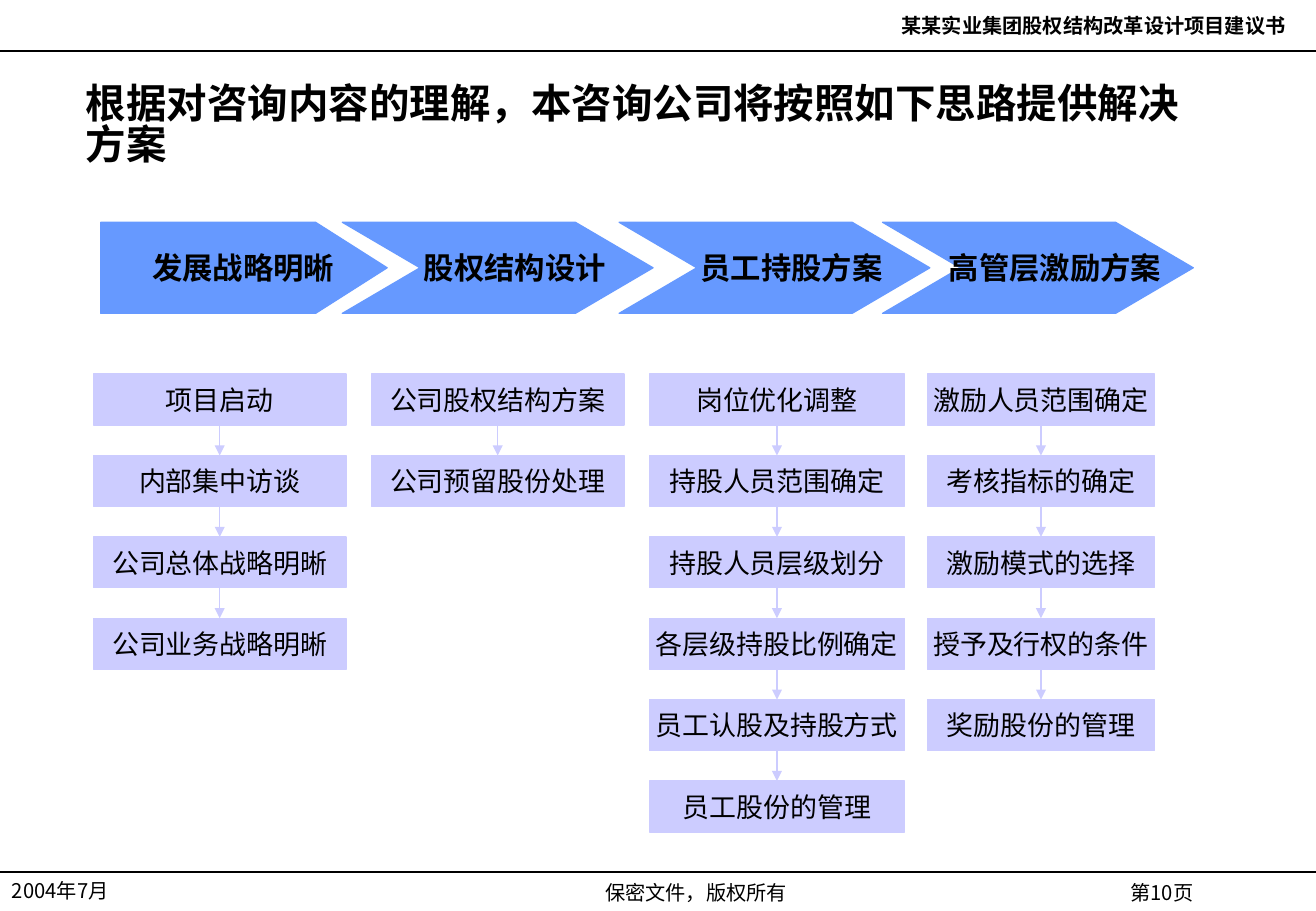
from dataclasses import dataclass

from lxml.etree import SubElement
from pptx import Presentation
from pptx.dml.color import RGBColor as RGB
from pptx.enum.shapes import MSO_CONNECTOR as LINK, MSO_SHAPE as SHAPE
from pptx.enum.text import MSO_ANCHOR as ANCHOR, PP_ALIGN as ALIGN
from pptx.oxml.ns import qn
from pptx.util import Inches, Pt

# Content
TITLE = "根据对咨询内容的理解，本咨询公司将按照如下思路提供解决方案"
HEADER = "某某实业集团股权结构改革设计项目建议书"
DATE, NOTICE, PAGE = "2004年7月", "保密文件，版权所有", "第10页"

# Stage: name, arrow left, arrow width, steps
STAGES = [
    ("发展战略明晰", 0.83, 2.36,
     ["项目启动", "内部集中访谈", "公司总体战略明晰", "公司业务战略明晰"]),
    ("股权结构设计", 2.82, 2.56,
     ["公司股权结构方案", "公司预留股份处理"]),
    ("员工持股方案", 5.1, 2.56,
     ["岗位优化调整", "持股人员范围确定", "持股人员层级划分",
      "各层级持股比例确定", "员工认股及持股方式", "员工股份的管理"]),
    ("高管层激励方案", 7.27, 2.56,
     ["激励人员范围确定", "考核指标的确定", "激励模式的选择",
      "授予及行权的条件", "奖励股份的管理"]),
]


@dataclass(frozen=True)
class Theme:
    ink: RGB = RGB(0, 0, 0)
    arrow: RGB = RGB(0x66, 0x99, 0xFF)
    step: RGB = RGB(0xCC, 0xCC, 0xFF)
    sans: str = "Noto Sans CJK SC"
    serif: str = "Times New Roman"
    title: int = 24
    stage: int = 18
    body: int = 16
    small: int = 12
    line: float = 0.75


T = Theme()

# Grid
WIDE, HIGH = 10.84, 7.5
TOP_RULE, END_RULE = 0.42, 7.18
ARROW_TOP, ARROW_H = 1.83, 0.75
COL_LEFT, COL_STEP = 0.77, 2.29
COL_W = (2.08, 2.08, 2.1, 1.87)
ROW_TOP, ROW_STEP, ROW_H = 3.08, 0.67, 0.42
SHIFT = 0.28  # moves stage names right of the notch

deck = Presentation()
deck.slide_width, deck.slide_height = Inches(WIDE), Inches(HIGH)
slide = deck.slides.add_slide(deck.slide_layouts[6])
shapes = slide.shapes


def write(shape, text, size, bold=False, face=T.sans, align=ALIGN.CENTER,
          wrap=True, left=0.1):
    frame = shape.text_frame
    form = dict(word_wrap=wrap, vertical_anchor=ANCHOR.MIDDLE,
                margin_left=Inches(left), margin_right=Inches(0.1),
                margin_top=Inches(0.05), margin_bottom=Inches(0.05))
    for key, val in form.items():
        setattr(frame, key, val)
    para = frame.paragraphs[0]
    para.alignment = align
    run = para.add_run()
    run.text = text
    for key, val in dict(size=Pt(size), bold=bold, name=face).items():
        setattr(run.font, key, val)
    run.font.color.rgb = T.ink
    SubElement(run.font._element, qn("a:ea")).set("typeface", T.sans)
    return para


def label(box, text, size, **form):
    return write(shapes.add_textbox(*map(Inches, box)), text, size, **form)


def block(kind, box, color):
    shape = shapes.add_shape(kind, *map(Inches, box))
    shape.shadow.inherit = False
    shape.fill.solid()
    shape.fill.fore_color.rgb = shape.line.color.rgb = color
    shape.line.width = Pt(T.line)
    return shape


def rule(x1, y1, x2, y2, color):
    line = shapes.add_connector(LINK.STRAIGHT, *map(Inches, (x1, y1, x2, y2)))
    line.line.color.rgb = color
    line.line.width = Pt(T.line)
    SubElement(line._element.spPr, qn("a:effectLst"))
    return line


def join(above, below):
    line = rule(0, 0, 0, 0, T.step)
    line.begin_connect(above, 2)
    line.end_connect(below, 0)
    SubElement(line.line._get_or_add_ln(), qn("a:tailEnd")).set("type", "triangle")


# Header, footer and title
for y in (TOP_RULE, END_RULE):
    rule(0, y, WIDE, y, T.ink)
label((6.9, 0.06, 3.79, 0.3), HEADER, T.small, bold=True, align=ALIGN.RIGHT)
label((0, END_RULE, 1.81, 0.3), DATE, T.small, align=ALIGN.LEFT)
label((2.8, 7.2, 5.87, 0.3), NOTICE, T.small, face=T.serif)
label((8.76, 7.2, 1.62, 0.3), PAGE, T.small)
head = label((0.61, 0.63, 9.21, 0.83), TITLE, T.title, bold=True,
             face=T.serif, align=ALIGN.LEFT)
head.line_spacing = 0.85

# Stage arrows, each with its column of steps
for col, (name, left, width, steps) in enumerate(STAGES):
    kind, tip = (SHAPE.CHEVRON, 0.64) if col else (SHAPE.PENTAGON, 0.59)
    arrow = block(kind, (left, ARROW_TOP, width, ARROW_H), T.arrow)
    arrow.adjustments[0] = tip / ARROW_H
    write(arrow, name, T.stage, bold=True, wrap=False, left=0.1 + SHIFT)

    last = None
    for row, step in enumerate(steps):
        box = (COL_LEFT + col * COL_STEP, ROW_TOP + row * ROW_STEP,
               COL_W[col], ROW_H)
        cell = block(SHAPE.RECTANGLE, box, T.step)
        write(cell, step, T.body, wrap=False)
        if last:
            join(last, cell)
        last = cell

deck.save("out.pptx")
